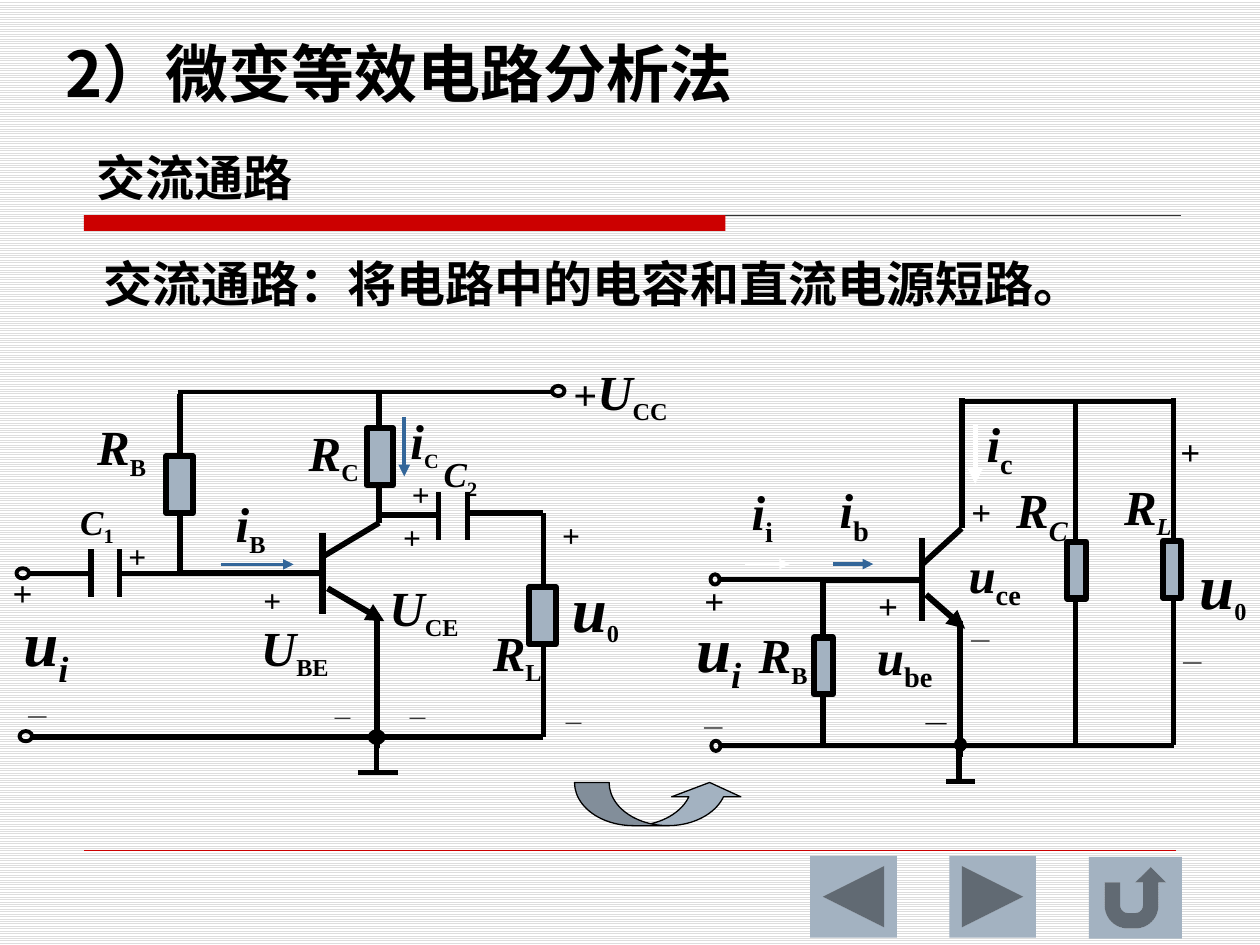
from lxml import etree
from pptx import Presentation
from pptx.dml.color import RGBColor
from pptx.enum import dml, shapes, text
from pptx.oxml.ns import qn
from pptx.util import Pt

rgb = RGBColor.from_string
BLACK, WHITE, BLUE, STEEL, RED = "000000", "FFFFFF", "336699", "A3B2C1", "CC0000"
SERIF, SANS = "Times New Roman", "Noto Sans CJK SC"

prs = Presentation()
prs.slide_width, prs.slide_height = Pt(720), Pt(540)
s = prs.slides.add_slide(prs.slide_layouts[5])
bg = s.background.fill
bg.patterned()
bg.pattern = dml.MSO_PATTERN.LIGHT_HORIZONTAL
bg.fore_color.rgb, bg.back_color.rgb = rgb("DDDDDD"), rgb(WHITE)


def add_run(p, words, size, font, italic=False, sub=False):
    r = p.add_run()
    r.text = words
    f = r.font
    f.size, f.name, f.bold, f.italic = Pt(size), font, True, italic
    f.color.rgb = rgb(BLACK)
    rpr = r._r.get_or_add_rPr()
    etree.SubElement(rpr, qn("a:ea")).set("typeface", font)
    if sub:
        rpr.set("baseline", "-25000")


def add_label(left, top, width, runs):
    """Centred symbol; its height follows from the largest run."""
    height = 1.2 * max(run[1] for run in runs) + 7.2
    tb = s.shapes.add_textbox(Pt(left), Pt(top), Pt(width), Pt(height))
    tf = tb.text_frame
    tf.word_wrap = False
    p = tf.paragraphs[0]
    p.alignment = text.PP_ALIGN.CENTER
    for words, size, italic, sub in runs:
        add_run(p, words, size, SERIF, italic, sub)


# Headings
headings = [
    (30, 18.5, 433, "2）微变等效电路分析法", 36),
    (48, 78.5, 220, "交流通路", 28),
    (52, 139, 641, "交流通路：将电路中的电容和直流电源短路。", 28),
]
for i, (left, top, width, words, size) in enumerate(headings):
    sp = s.shapes.title if i == 0 else s.shapes.add_textbox(0, 0, 0, 0)
    sp.left, sp.top, sp.width, sp.height = Pt(left), Pt(top), Pt(width), Pt(45.5)
    tf = sp.text_frame
    tf.word_wrap = True
    tf.auto_size = text.MSO_AUTO_SIZE.NONE
    tf.vertical_anchor = text.MSO_ANCHOR.MIDDLE
    p = tf.paragraphs[0]
    p.alignment = text.PP_ALIGN.LEFT
    add_run(p, words, size, SANS)

# Lines: x1, y1, x2, y2, width, colour, arrowhead
rules = [
    (48, 123, 675, 123, 0.75, "333333", False),
    (48, 486, 672, 486, 0.25, RED, False),
]
left_wires = [
    (103, 327.6, 184.3, 327.6, 3.5), (184.3, 304.5, 184.3, 350.6, 3.5),
    (184.3, 318.2, 216.7, 298.8, 3.25), (216.7, 225.4, 216.7, 298.8, 3.5),
    (215.3, 350.6, 215.3, 427.7, 3.5), (101.5, 223.9, 316, 223.9, 2.25),
    (103, 225.4, 103, 327.6, 3.5), (17.3, 421.2, 310.5, 421.2, 3),
    (52, 314, 52, 341.3, 3), (68.4, 314, 68.4, 341.3, 3),
    (68.4, 327.6, 103, 327.6, 3), (17.3, 327.6, 52, 327.6, 3),
    (215.3, 294.3, 251, 294.3, 3), (250.7, 281.3, 250.7, 308.3, 3),
    (267.1, 281.3, 267.1, 308.3, 3), (267.1, 293.2, 310.5, 293.2, 3),
    (215.3, 421.2, 215.3, 441.3, 3), (204.5, 441.3, 227.5, 441.3, 3),
    (310.5, 293.2, 310.5, 421.2, 3),
]
right_wires = [
    (670.4, 227.5, 670.4, 425.5, 3), (470.2, 331.3, 527, 331.3, 3.5),
    (527, 307.5, 527, 355, 3.5), (527, 322.5, 549.5, 302, 3.25),
    (549.5, 227.5, 549.5, 302, 3.5), (548.6, 355, 548.6, 432.7, 3.5),
    (548.6, 229.5, 671, 229.5, 3), (470.2, 331.3, 470.2, 427.5, 3.5),
    (411.8, 426.2, 615.6, 426.2, 3), (411.1, 331.2, 470.9, 331.2, 3),
    (548, 424.8, 548, 445, 3), (540.7, 446.4, 557.3, 446.4, 3),
    (614.7, 229.5, 614.7, 426.2, 3), (614.7, 426.2, 671, 426.2, 3),
]
arrows = [
    (187.2, 336.2, 219.6, 355, 3.5, BLACK, True),
    (529.2, 339.8, 551.5, 359.3, 3.5, BLACK, True),
    (126, 322.5, 167.8, 322.5, 2, BLUE, True),
    (231, 238.3, 231, 272.2, 2.25, BLUE, True),
    (557.3, 242.6, 557.3, 276.5, 3, WHITE, True),
    (476, 322.3, 499, 322.3, 2, BLUE, True),
    (425.5, 322.3, 451.4, 322.3, 2, WHITE, True),
]
wires = [wire + (BLACK, False) for wire in left_wires + right_wires]
for x1, y1, x2, y2, width, colour, arrow in rules + wires + arrows:
    c = s.shapes.add_connector(shapes.MSO_CONNECTOR.STRAIGHT, Pt(x1), Pt(y1), Pt(x2), Pt(y2))
    c.line.width = Pt(width)
    c.line.color.rgb = rgb(colour)
    if arrow:
        etree.SubElement(c.line._get_or_add_ln(), qn("a:tailEnd")).set("type", "triangle")
    etree.SubElement(c._element.spPr, qn("a:effectLst"))

# Bar, resistors, terminals, nodes, curved arrow, buttons
M = shapes.MSO_SHAPE
resistors = [
    (95, 260.6, 15.1), (209.5, 244.8, 15.1), (302.4, 335.5, 15.1),
    (465.1, 364.3, 10.8), (664.6, 309, 10.4), (609.8, 309.5, 10.8),
]
circles = [
    (315.4, 220.5, 7.2, 2.25), (11.2, 417.8, 7.2, 2.25), (9.4, 324.7, 7.2, 2.25),
    (211.7, 418.3, 7.2, 3), (406.5, 423.3, 5.2, 2.25), (406, 328.2, 5.2, 2.25),
    (546.3, 422.6, 5.2, 2.25),
]
figures = [(M.RECTANGLE, 48, 123, 366.5, 9, RED, 0)]
figures += [(M.RECTANGLE, x, y, w, 32.5, STEEL, 3.5) for x, y, w in resistors]
figures += [(M.OVAL, x, y, w, 5.8, None, lw) for x, y, w, lw in circles]
figures += [
    (M.CURVED_UP_ARROW, 328.3, 447.1, 97, 24.7, STEEL, 0.75),
    (M.ACTION_BUTTON_BACK_OR_PREVIOUS, 463, 489, 49.5, 46.8, STEEL, 0),
    (M.ACTION_BUTTON_FORWARD_OR_NEXT, 542.5, 489, 49.5, 46.8, STEEL, 0),
    (M.ACTION_BUTTON_RETURN, 622.2, 489.6, 53.2, 46.8, STEEL, 0),
]
for kind, x, y, w, h, fill, line in figures:
    sp = s.shapes.add_shape(kind, Pt(x), Pt(y), Pt(w), Pt(h))
    sp.shadow.inherit = False
    if fill:
        sp.fill.solid()
        sp.fill.fore_color.rgb = rgb(fill)
    else:
        sp.fill.background()
    if line:
        sp.line.width = Pt(line)
        sp.line.color.rgb = rgb(BLACK)
    else:
        sp.line.fill.background()
    if kind == M.CURVED_UP_ARROW:
        for i, value in enumerate((0.802, 1.604, 0.333)):
            sp.adjustments[i] = value

# Symbols: left, top, width, letter, size, subscript, its size, its italic
symbols = [
    (5.8, 341.3, 41, "u", 36, "i", 36, True), (47.5, 234.7, 44, "R", 28, "B", 24, False),
    (168.5, 237.6, 44.6, "R", 28, "C", 24, False), (213.8, 326.2, 57, "U", 28, "CE", 24, False),
    (140.4, 349.2, 56.2, "U", 28, "BE", 24, False), (29.5, 282.2, 51.8, "C", 20, "1", 20, False),
    (237.6, 254.9, 51.1, "C", 20, "2", 20, False), (319, 321.8, 42.5, "u", 36, "0", 24, False),
    (273.6, 352, 44, "R", 28, "L", 24, False), (126.7, 278.6, 33.1, "i", 28, "B", 24, False),
    (226.8, 231.1, 31.7, "i", 28, "C", 20, False), (677.5, 308.9, 42.5, "u", 36, "0", 24, False),
    (425.5, 353.5, 44, "R", 28, "B", 24, False), (390.2, 344.9, 41, "u", 36, "i", 36, True),
    (634.3, 268.6, 43.2, "R", 28, "L", 24, True), (572.4, 270.7, 46, "R", 28, "C", 28, True),
    (492.5, 354.2, 49, "u", 28, "be", 28, False), (545, 307.4, 46.8, "u", 28, "ce", 28, False),
    (555.8, 232.6, 31, "i", 28, "c", 28, False), (471.6, 270.7, 33.1, "i", 28, "b", 28, False),
    (421.9, 271.4, 27.4, "i", 28, "i", 28, False),
]
for x, y, w, letter, size, sub, sub_size, sub_italic in symbols:
    add_label(x, y, w, [(letter, size, True, False), (sub, sub_size, sub_italic, True)])
add_label(319, 203, 71.3, [("+", 24, False, False), ("U", 28, True, False), ("CC", 24, False, True)])

# Polarity signs: left, top, sign, size
signs = [
    (0, 323.3, "+", 20), (7.2, 397.4, "－", 14), (143.3, 328.3, "+", 18),
    (182.9, 399.6, "－", 12), (225.4, 399.6, "－", 12), (223.2, 292.3, "+", 18),
    (66.2, 303.1, "+", 18), (228.2, 267.8, "+", 18), (314, 291.6, "+", 18),
    (314.6, 402.5, "－", 12), (494.6, 330.5, "+", 20), (519.8, 400.3, "－", 16),
    (546.5, 354.2, "－", 14), (547.9, 276.5, "+", 20), (395.3, 327.6, "+", 20),
    (393.8, 403.9, "－", 14), (667.4, 242.6, "+", 20), (667.4, 366.5, "－", 14),
]
for x, y, sign, size in signs:
    width = 14.4 + size * (0.57 if sign == "+" else 1)
    add_label(x, y, width, [(sign, size, False, False)])

prs.save("out.pptx")
